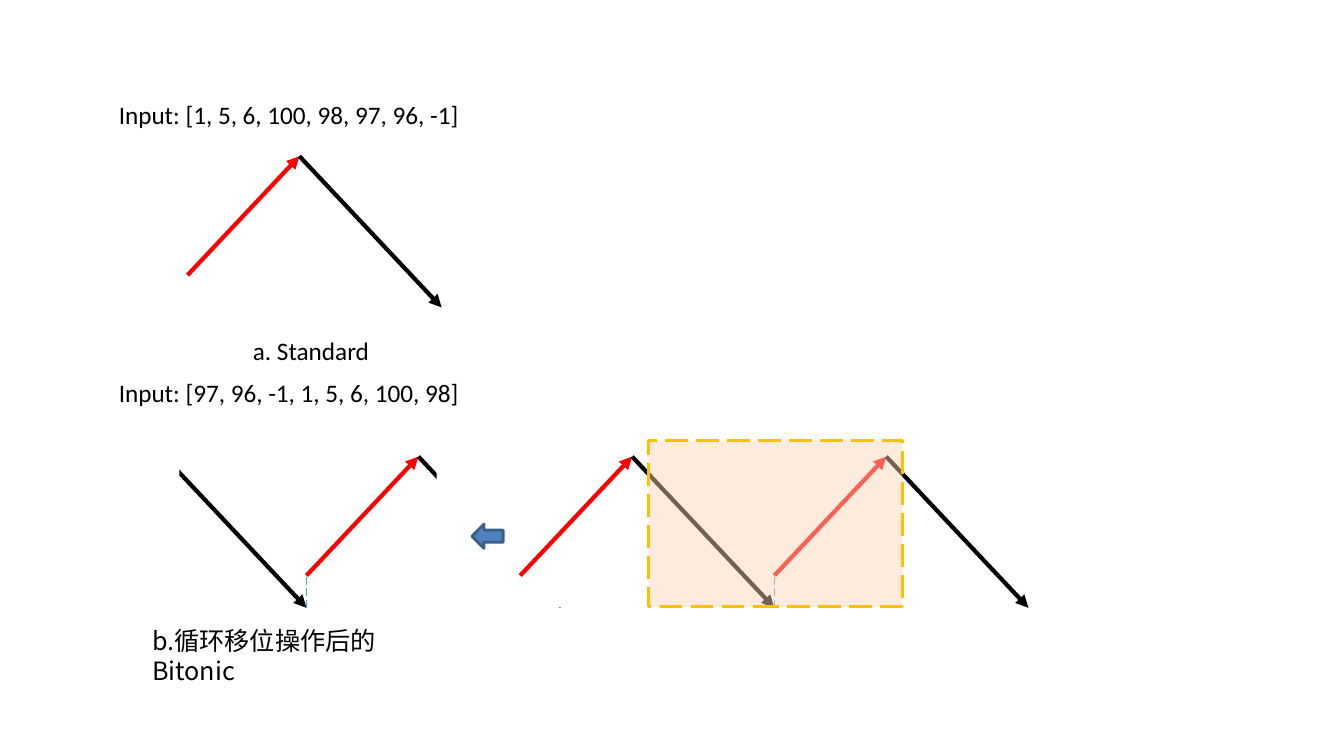
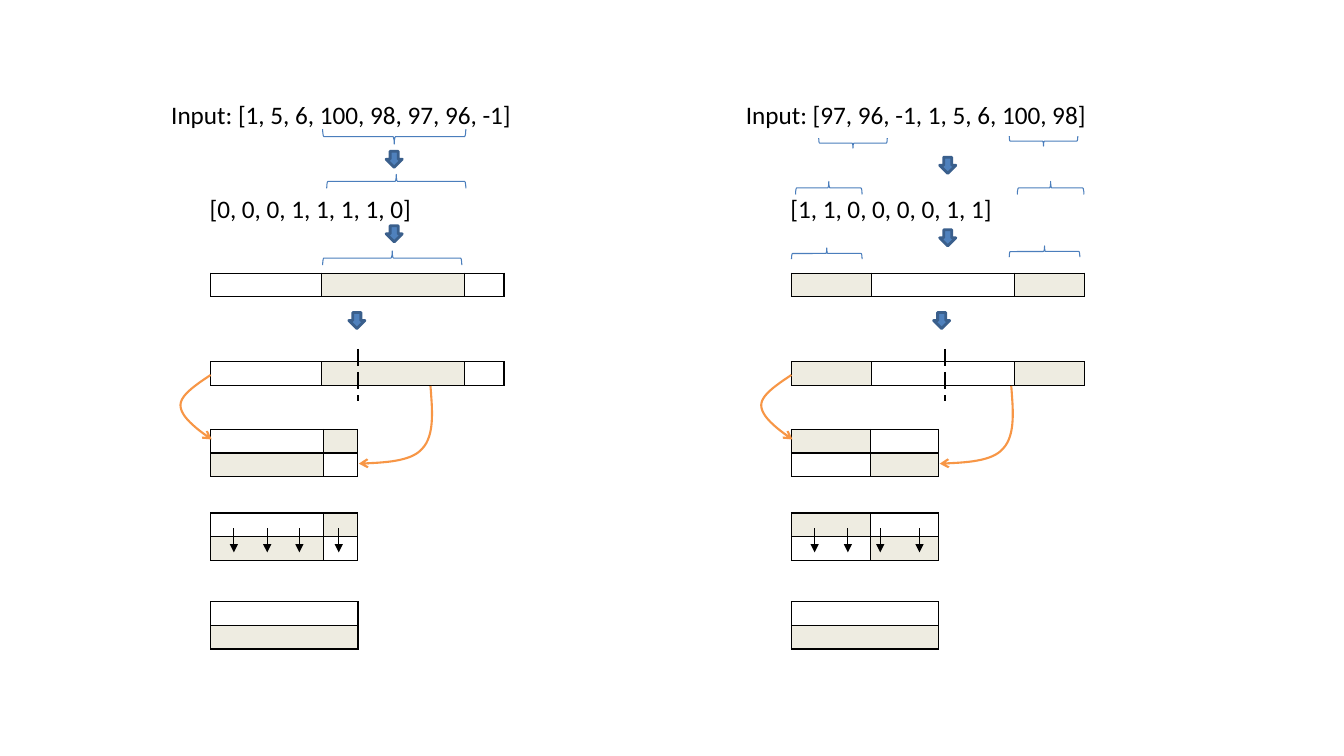
from dataclasses import dataclass

from lxml.etree import SubElement
from pptx import Presentation
from pptx.dml.color import RGBColor
from pptx.enum.dml import MSO_LINE
from pptx.enum.shapes import MSO_CONNECTOR, MSO_SHAPE
from pptx.oxml.ns import qn
from pptx.util import Inches, Pt

COLORS = {
    "text": "000000",
    "white": "FFFFFF",
    "tan": "EEECE1",
    "rise": "FF0000",
    "fall": "000000",
    "border": "000000",
    "valley": "46AAC5",
    "window": "FCD5B5",
    "window_line": "FFC000",
    "arrow": "4F81BD",
    "arrow_line": "3A5F8C",
    "brace": "4B7EBC",
    "curve": "F79646",
}
LATIN_FONT = "Calibri"
CHINESE_FONT = "Noto Sans CJK SC"
RISE_WIDTH, RISE_HEIGHT = 1.11, 1.18
FALL_WIDTH, FALL_HEIGHT = 1.41, 1.5
PERIOD = RISE_WIDTH + FALL_WIDTH
ROW_HEIGHT = 0.235
FULL_WIDTH, HALF_WIDTH = 2.91, 1.46


@dataclass
class Panel:
    left: float
    input_text: str
    input_offset: float
    bits_text: str
    segments: list
    half_segments: list
    first_fill: str
    second_fill: str
    flow_arrows: list
    braces: list
    split: float


PANELS = [
    Panel(
        left=2.09,
        input_text="Input: [1, 5, 6, 100, 98, 97, 96, -1]",
        input_offset=-0.49,
        bits_text="[0, 0, 0, 1, 1, 1, 1, 0]",
        segments=[1.1, 1.42, 0.39],
        half_segments=[1.12, 0.34],
        first_fill="white",
        second_fill="tan",
        flow_arrows=[(1.74, 1.5), (1.74, 2.24), (1.37, 3.1)],
        braces=[
            (1.11, 1.28, 1.42, 0.15, "down"),
            (1.15, 1.73, 1.38, 0.14, "up"),
            (1.11, 2.49, 1.38, 0.14, "up"),
        ],
        split=1.46,
    ),
    Panel(
        left=7.85,
        input_text="Input: [97, 96, -1, 1, 5, 6, 100, 98]",
        input_offset=-0.55,
        bits_text="[1, 1, 0, 0, 0, 0, 1, 1]",
        segments=[0.79, 1.42, 0.7],
        half_segments=[0.78, 0.68],
        first_fill="tan",
        second_fill="white",
        flow_arrows=[(1.47, 1.56), (1.47, 2.28), (1.41, 3.1)],
        braces=[
            (0.27, 1.37, 0.68, 0.1, "down"),
            (2.16, 1.35, 0.68, 0.1, "down"),
            (0.04, 1.8, 0.66, 0.13, "up"),
            (2.24, 1.8, 0.66, 0.13, "up"),
            (0, 2.46, 0.7, 0.11, "up"),
            (2.16, 2.44, 0.7, 0.11, "up"),
        ],
        split=1.52,
    ),
]


def rgb(name):
    return RGBColor.from_string(COLORS[name])


def style_line(line, color, width, dash=None):
    line.color.rgb = rgb(color)
    line.width = Pt(width)
    if dash:
        line.dash_style = dash


def add_arrowhead(shape, kind):
    SubElement(shape.line._get_or_add_ln(), qn("a:tailEnd"), type=kind)


def add_text(slide, text, left, top, width, font=LATIN_FONT):
    box = slide.shapes.add_textbox(Inches(left), Inches(top), Inches(width), Inches(0.4))
    box.text_frame.word_wrap = True
    box.text_frame.text = text
    run = box.text_frame.paragraphs[0].runs[0]
    run.font.name = font
    run.font.size = Pt(18)
    run.font.color.rgb = rgb("text")
    if font != LATIN_FONT:
        SubElement(run.font._element, qn("a:ea"), typeface=font)


def add_line(slide, start, end, color, width, head=False, dash=None):
    points = [Inches(value) for value in (*start, *end)]
    connector = slide.shapes.add_connector(MSO_CONNECTOR.STRAIGHT, *points)
    style_line(connector.line, color, width, dash)
    if head:
        add_arrowhead(connector, "triangle")
    SubElement(connector._element.spPr, qn("a:effectLst"))


def add_preset(slide, kind, left, top, width, height, fill=None, line=None, line_width=2, dash=None):
    shape = slide.shapes.add_shape(kind, Inches(left), Inches(top), Inches(width), Inches(height))
    shape.shadow.inherit = False
    if fill:
        shape.fill.solid()
        shape.fill.fore_color.rgb = rgb(fill)
    else:
        shape.fill.background()
    if line:
        style_line(shape.line, line, line_width, dash)
    else:
        shape.line.fill.background()
    return shape


def add_block_arrow(slide, kind, left, top, width, height):
    add_preset(slide, kind, left, top, width, height, "arrow", "arrow_line")


def add_brace(slide, left, top, width, height, direction):
    shift = (width - height) / 2
    brace = add_preset(slide, MSO_SHAPE.LEFT_BRACE, left + shift, top - shift,
                       height, width, line="brace", line_width=0.75)
    brace.rotation = 270 if direction == "down" else 90


def add_curve(slide, left, top, points):
    sampled = []
    for index in range(0, len(points) - 1, 3):
        controls = points[index:index + 4]
        for step in range(1, 17):
            t = step / 16
            weights = ((1 - t) ** 3, 3 * t * (1 - t) ** 2, 3 * t * t * (1 - t), t ** 3)
            x, y = (sum(w * p[axis] for w, p in zip(weights, controls)) for axis in (0, 1))
            sampled.append((Inches(left + x), Inches(top + y)))
    start_x, start_y = points[0]
    builder = slide.shapes.build_freeform(Inches(left + start_x), Inches(top + start_y))
    builder.add_line_segments(sampled, close=False)
    curve = builder.convert_to_shape()
    curve.shadow.inherit = False
    curve.fill.background()
    style_line(curve.line, "curve", 1.5)
    add_arrowhead(curve, "arrow")


def format_cell(cell, fill):
    cell.margin_left = cell.margin_right = cell.margin_top = cell.margin_bottom = 0
    paragraph = cell.text_frame.paragraphs[0]
    SubElement(paragraph._p, qn("a:endParaRPr"), sz="800")
    properties = cell._tc.get_or_add_tcPr()
    for side in ("lnL", "lnR", "lnT", "lnB"):
        border = SubElement(properties, qn(f"a:{side}"), w=str(Pt(1)))
        border_fill = SubElement(border, qn("a:solidFill"))
        SubElement(border_fill, qn("a:srgbClr"), val=COLORS["border"])
    cell.fill.solid()
    cell.fill.fore_color.rgb = rgb(fill)


def add_array(slide, left, top, widths, rows):
    frame = slide.shapes.add_table(len(rows), len(widths), Inches(left), Inches(top),
                                   Inches(sum(widths)), Inches(ROW_HEIGHT * len(rows)))
    table = frame.table
    table.first_row = table.horz_banding = False
    for column, width in zip(table.columns, widths):
        column.width = Inches(width)
    for row_index, fills in enumerate(rows):
        table.rows[row_index].height = Inches(ROW_HEIGHT)
        for column_index, fill in enumerate(fills):
            format_cell(table.cell(row_index, column_index), fill)


def draw_rise(slide, peak_x, peak_y):
    start = (peak_x - RISE_WIDTH, peak_y + RISE_HEIGHT)
    add_line(slide, start, (peak_x, peak_y), "rise", 3, head=True)


def draw_fall(slide, peak_x, peak_y):
    end = (peak_x + FALL_WIDTH, peak_y + FALL_HEIGHT)
    add_line(slide, (peak_x, peak_y), end, "fall", 3, head=True)


def draw_wave(slide, peak_x, peak_y):
    next_peak = peak_x + PERIOD
    valley = peak_x + FALL_WIDTH
    draw_fall(slide, peak_x, peak_y)
    draw_rise(slide, next_peak, peak_y)
    draw_fall(slide, next_peak, peak_y)
    add_line(slide, (valley, peak_y + FALL_HEIGHT), (valley, peak_y + RISE_HEIGHT),
             "valley", 0.75, dash=MSO_LINE.LONG_DASH)


def draw_standard(slide, left, top):
    add_text(slide, "Input: [1, 5, 6, 100, 98, 97, 96, -1]", left, top, 4)
    draw_rise(slide, left + 1.89, top + 0.61)
    draw_fall(slide, left + 1.89, top + 0.61)
    add_text(slide, "a. Standard", left + 1.33, top + 2.34, 1.6)


def draw_rotated(slide, left, top):
    peak_y = top + 0.84
    window_top, window_height = top + 0.68, 1.65
    add_text(slide, "Input: [97, 96, -1, 1, 5, 6, 100, 98]", left, top, 4)
    draw_wave(slide, left + 0.55, peak_y)
    for mask_left in (left - 0.71, left + 3.25):
        add_preset(slide, MSO_SHAPE.RECTANGLE, mask_left, window_top, 1.41, window_height, "white")
    draw_rise(slide, left + 5.19, peak_y)
    draw_wave(slide, left + 5.19, peak_y)
    window = add_preset(slide, MSO_SHAPE.RECTANGLE, left + 5.35, window_top, PERIOD, window_height,
                        "window", "window_line", dash=MSO_LINE.LONG_DASH)
    color = window._element.spPr.find(qn("a:solidFill")).find(qn("a:srgbClr"))
    SubElement(color, qn("a:alpha"), val="46000")
    add_block_arrow(slide, MSO_SHAPE.LEFT_ARROW, left + 3.6, top + 1.51, 0.31, 0.24)
    add_text(slide, "b.循环移位操作后的Bitonic", left + 0.33, top + 2.46, 2.8, CHINESE_FONT)


def draw_panel(slide, panel):
    left = panel.left
    first, second = panel.first_fill, panel.second_fill
    full_row = [[first, second, first]]
    half_rows = [[first, second], [second, first]]

    add_text(slide, panel.input_text, left + panel.input_offset, 0.94, 4)
    add_text(slide, panel.bits_text, left - 0.11, 1.87, 3.15)
    for x, y, width, height, direction in panel.braces:
        add_brace(slide, left + x, y, width, height, direction)
    for x, y in panel.flow_arrows:
        add_block_arrow(slide, MSO_SHAPE.DOWN_ARROW, left + x, y, 0.16, 0.16)

    for top in (2.71, 3.59):
        add_array(slide, left, top, panel.segments, full_row)
    for top in (4.26, 5.09):
        add_array(slide, left, top, panel.half_segments, half_rows)
    add_array(slide, left, 5.97, [HALF_WIDTH], [["white"], ["tan"]])

    split = left + panel.split
    add_line(slide, (split, 3.46), (split, 3.98), "border", 1.5, dash=MSO_LINE.LONG_DASH)
    add_curve(slide, left, 3.72, [(0, 0), (-0.15, 0.1), (-0.3, 0.2), (-0.3, 0.3),
                                  (-0.3, 0.41), (-0.15, 0.53), (0.01, 0.64)])
    add_curve(slide, left, 3.83, [(2.18, 0), (2.2, 0.25), (2.22, 0.49), (2.1, 0.62),
                                  (1.99, 0.75), (1.73, 0.76), (1.47, 0.77)])
    for x in (0.23, 0.56, 0.88, 1.27):
        add_line(slide, (left + x, 5.24), (left + x, 5.48), "border", 0.75, head=True)


def main():
    presentation = Presentation()
    presentation.slide_width, presentation.slide_height = Inches(13.33), Inches(7.5)
    blank = presentation.slide_layouts[6]

    shapes_slide = presentation.slides.add_slide(blank)
    draw_standard(shapes_slide, 1.08, 0.94)
    draw_rotated(shapes_slide, 1.08, 3.69)

    steps_slide = presentation.slides.add_slide(blank)
    for panel in PANELS:
        draw_panel(steps_slide, panel)

    presentation.save("out.pptx")


if __name__ == "__main__":
    main()
